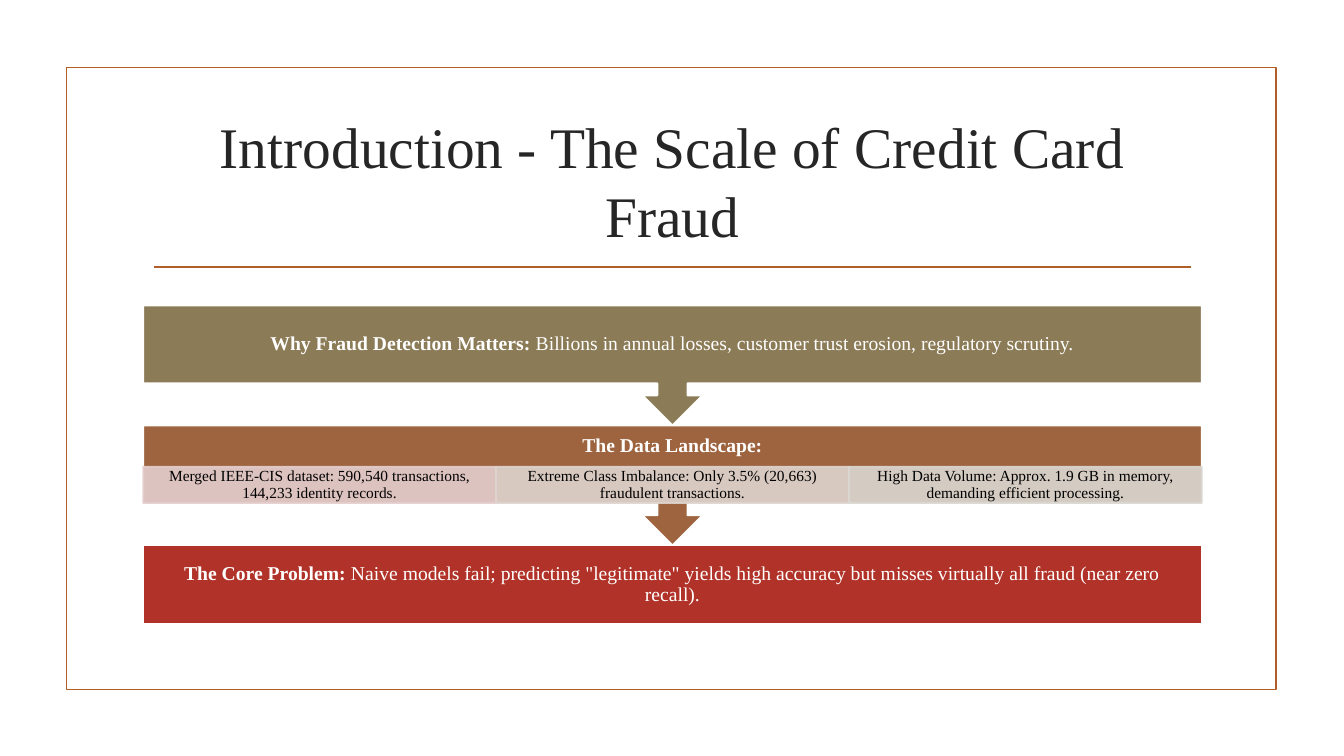
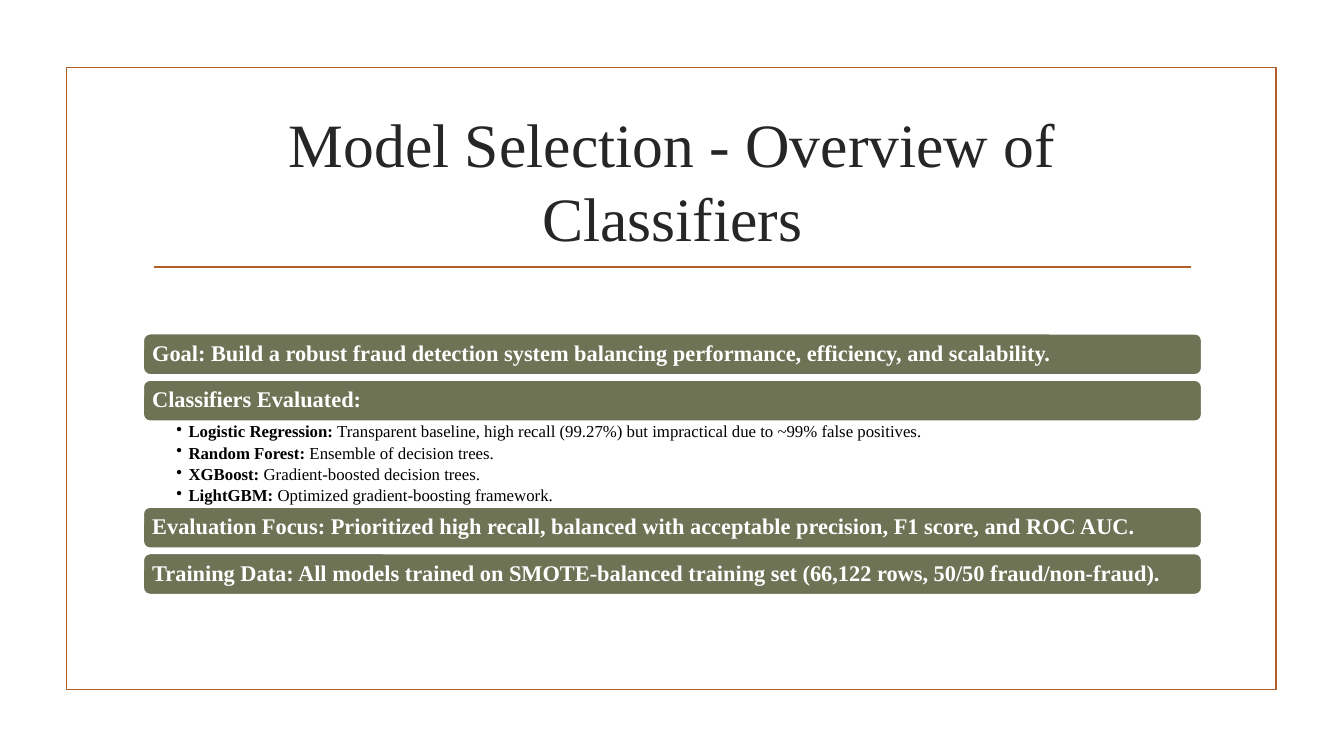
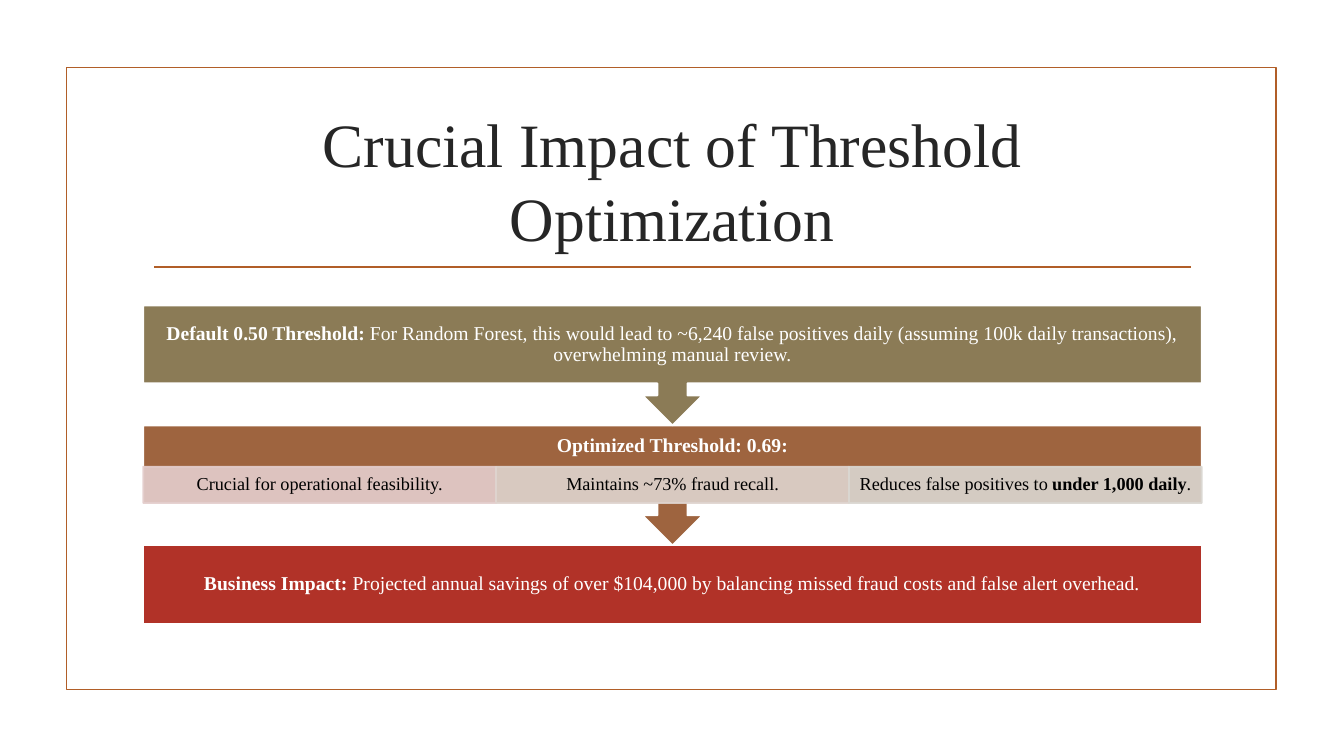
from lxml import etree
from pptx import Presentation
from pptx.dml.color import RGBColor
from pptx.enum.shapes import MSO_CONNECTOR, MSO_SHAPE
from pptx.enum.text import MSO_ANCHOR, PP_ALIGN
from pptx.oxml.ns import qn
from pptx.util import Inches, Pt

RECTANGLE = MSO_SHAPE.RECTANGLE
ROUNDED = MSO_SHAPE.ROUNDED_RECTANGLE
CALLOUT = MSO_SHAPE.DOWN_ARROW_CALLOUT
STRAIGHT = MSO_CONNECTOR.STRAIGHT
MIDDLE, TOP = MSO_ANCHOR.MIDDLE, MSO_ANCHOR.TOP
LEFT, CENTER = PP_ALIGN.LEFT, PP_ALIGN.CENTER

FONT = "Times New Roman"
RUST = RGBColor(0xB1, 0x5E, 0x28)
INK = RGBColor(0x26, 0x26, 0x26)
BLACK = RGBColor(0x00, 0x00, 0x00)
WHITE = RGBColor(0xFF, 0xFF, 0xFF)
KHAKI = RGBColor(0x8B, 0x7B, 0x56)
BROWN = RGBColor(0x9E, 0x64, 0x3F)
RED = RGBColor(0xB1, 0x32, 0x28)
OLIVE = RGBColor(0x6E, 0x73, 0x55)
CELL_COLORS = [RGBColor(0xE4, 0xCE, 0xCD), RGBColor(0xDF, 0xD4, 0xCF), RGBColor(0xDA, 0xD7, 0xD1)]

# Content: text between ** marks is bold
INTRODUCTION = {
    "title": "Introduction - The Scale of Credit Card Fraud",
    "title_size": 41,
    "cause": "**Why Fraud Detection Matters:** Billions in annual losses, customer trust erosion, "
             "regulatory scrutiny.",
    "heading": "**The Data Landscape:**",
    "cells": [
        "Merged IEEE-CIS dataset: 590,540 transactions, 144,233 identity records.",
        "Extreme Class Imbalance: Only 3.5% (20,663) fraudulent transactions.",
        "High Data Volume: Approx. 1.9 GB in memory, demanding efficient processing.",
    ],
    "cell_size": 11,
    "cell_inset": 0.09,
    "result": "**The Core Problem:** Naive models fail; predicting \"legitimate\" yields high accuracy "
              "but misses virtually all fraud (near zero recall).",
}
THRESHOLD = {
    "title": "Crucial Impact of Threshold Optimization",
    "title_size": 44,
    "cause": "**Default 0.50 Threshold:** For Random Forest, this would lead to ~6,240 false positives "
             "daily (assuming 100k daily transactions), overwhelming manual review.",
    "heading": "**Optimized Threshold: 0.69:**",
    "cells": [
        "Crucial for operational feasibility.",
        "Maintains ~73% fraud recall.",
        "Reduces false positives to **under 1,000 daily**.",
    ],
    "cell_size": 13,
    "cell_inset": 0.1,
    "result": "**Business Impact:** Projected annual savings of over $104,000 by balancing missed fraud "
              "costs and false alert overhead.",
}
# Each bar with the bullets below it
CLASSIFIERS = {
    "title": "Model Selection - Overview of Classifiers",
    "title_size": 44,
    "bars": [
        ("**Goal: Build a robust fraud detection system balancing performance, efficiency, "
         "and scalability.**", []),
        ("**Classifiers Evaluated:**", [
            "**Logistic Regression:** Transparent baseline, high recall (99.27%) but impractical "
            "due to ~99% false positives.",
            "**Random Forest:** Ensemble of decision trees.",
            "**XGBoost:** Gradient-boosted decision trees.",
            "**LightGBM:** Optimized gradient-boosting framework.",
        ]),
        ("**Evaluation Focus: Prioritized high recall, balanced with acceptable precision, "
         "F1 score, and ROC AUC.**", []),
        ("**Training Data: All models trained on SMOTE-balanced training set (66,122 rows, "
         "50/50 fraud/non-fraud).**", []),
    ],
}

# Layout in inches
CONTENT_LEFT, CONTENT_WIDTH = 1.42, 10.5
FLOW_TOP, STEP_PITCH = 3.03, 1.19
BOX_HEIGHT, HEADING_HEIGHT, CELL_HEIGHT = 0.78, 0.41, 0.36
BARS_TOP, BAR_HEIGHT, BAR_GAP, BULLETS_HEIGHT = 3.31, 0.41, 0.05, 0.85


def set_text(shape, lines, size, color, align=CENTER, anchor=MIDDLE,
             insets=(0.11, 0.11, 0.11, 0.11), spacing=0.9):
    frame = shape.text_frame
    frame.word_wrap = True
    frame.vertical_anchor = anchor
    (frame.margin_left, frame.margin_top,
     frame.margin_right, frame.margin_bottom) = map(Inches, insets)
    for index, line in enumerate(lines):
        paragraph = frame.add_paragraph() if index else frame.paragraphs[0]
        paragraph.alignment = align
        paragraph.line_spacing = spacing
        paragraph.font.name = FONT
        paragraph.font.size = Pt(size)
        paragraph.font.color.rgb = color
        for part, text in enumerate(line.split("**")):
            if text:
                run = paragraph.add_run()
                run.text = text
                run.font.bold = part % 2 == 1


def add_box(slide, kind, left, top, width, height, fill, line=WHITE):
    shape = slide.shapes.add_shape(kind, Inches(left), Inches(top), Inches(width), Inches(height))
    shape.shadow.inherit = False
    if fill is None:
        shape.fill.background()
    else:
        shape.fill.solid()
        shape.fill.fore_color.rgb = fill
    shape.line.color.rgb = line
    shape.line.width = Pt(1.25)
    return shape


def add_textbox(slide, left, top, width, height):
    return slide.shapes.add_textbox(Inches(left), Inches(top), Inches(width), Inches(height))


def set_opacity(shape, percent):
    for color in shape._element.spPr.iter(qn("a:srgbClr")):
        etree.SubElement(color, qn("a:alpha"), val=str(percent * 1000))


def add_bullet(paragraph):
    properties = paragraph._p.get_or_add_pPr()
    properties.set("marL", str(Inches(0.12)))
    properties.set("indent", str(-Inches(0.12)))
    bullet = etree.Element(qn("a:buChar"), char="•")
    properties.find(qn("a:defRPr")).addprevious(bullet)


def add_base_slide(presentation, content):
    """Blank slide with the shared frame, title and rule."""
    slide = presentation.slides.add_slide(presentation.slide_layouts[6])
    add_box(slide, RECTANGLE, 0.66, 0.67, 12, 6.17, None, RUST)
    rule = slide.shapes.add_connector(STRAIGHT, Inches(1.53), Inches(2.65), Inches(11.81), Inches(2.65))
    rule.line.color.rgb = RUST
    rule.line.width = Pt(1.25)
    etree.SubElement(rule._element.spPr, qn("a:effectLst"))
    title = add_textbox(slide, CONTENT_LEFT, 1.07, CONTENT_WIDTH, 1.43)
    set_text(title, [content["title"]], content["title_size"], INK,
             insets=(0.1, 0.05, 0.1, 0.05), spacing=1.0)
    return slide


def add_flow_slide(presentation, content):
    slide = add_base_slide(presentation, content)
    cause_top, detail_top, result_top = [FLOW_TOP + STEP_PITCH * step for step in range(3)]

    # Built from the bottom up, so that each arrow tip lies over the next box
    result = add_box(slide, RECTANGLE, CONTENT_LEFT, result_top, CONTENT_WIDTH, BOX_HEIGHT, RED)
    set_text(result, [content["result"]], 14, WHITE)

    detail = add_box(slide, CALLOUT, CONTENT_LEFT, detail_top, CONTENT_WIDTH, STEP_PITCH, BROWN)
    below_heading = BOX_HEIGHT - HEADING_HEIGHT
    set_text(detail, [content["heading"]], 14, WHITE, insets=(0.11, 0.11, 0.11, 0.11 + below_heading))

    cell_width = CONTENT_WIDTH / len(content["cells"])
    inset = content["cell_inset"]
    for column, (text, color) in enumerate(zip(content["cells"], CELL_COLORS)):
        cell = add_box(slide, RECTANGLE, CONTENT_LEFT + column * cell_width,
                       detail_top + HEADING_HEIGHT, cell_width, CELL_HEIGHT, color, color)
        set_opacity(cell, 90)
        set_text(cell, [text], content["cell_size"], BLACK, insets=(inset, 0.02, inset, 0.02))

    cause = add_box(slide, CALLOUT, CONTENT_LEFT, cause_top, CONTENT_WIDTH, STEP_PITCH, KHAKI)
    set_text(cause, [content["cause"]], 14, WHITE)


def add_bar_slide(presentation, content):
    slide = add_base_slide(presentation, content)
    top = BARS_TOP
    for heading, bullets in content["bars"]:
        bar = add_box(slide, ROUNDED, CONTENT_LEFT, top, CONTENT_WIDTH, BAR_HEIGHT, OLIVE)
        set_text(bar, [heading], 16, WHITE, LEFT, insets=(0.07, 0.07, 0.07, 0.07))
        top += BAR_HEIGHT
        if bullets:
            box = add_textbox(slide, CONTENT_LEFT, top, CONTENT_WIDTH, BULLETS_HEIGHT)
            set_text(box, bullets, 12, BLACK, LEFT, TOP, (0.33, 0.02, 0.12, 0.02))
            for paragraph in box.text_frame.paragraphs:
                paragraph.space_after = Pt(2.3)
                add_bullet(paragraph)
            top += BULLETS_HEIGHT
        else:
            top += BAR_GAP


def main():
    presentation = Presentation()
    presentation.slide_width = Inches(13.33)
    presentation.slide_height = Inches(7.5)
    add_flow_slide(presentation, INTRODUCTION)
    add_bar_slide(presentation, CLASSIFIERS)
    add_flow_slide(presentation, THRESHOLD)
    presentation.save("out.pptx")


if __name__ == "__main__":
    main()
